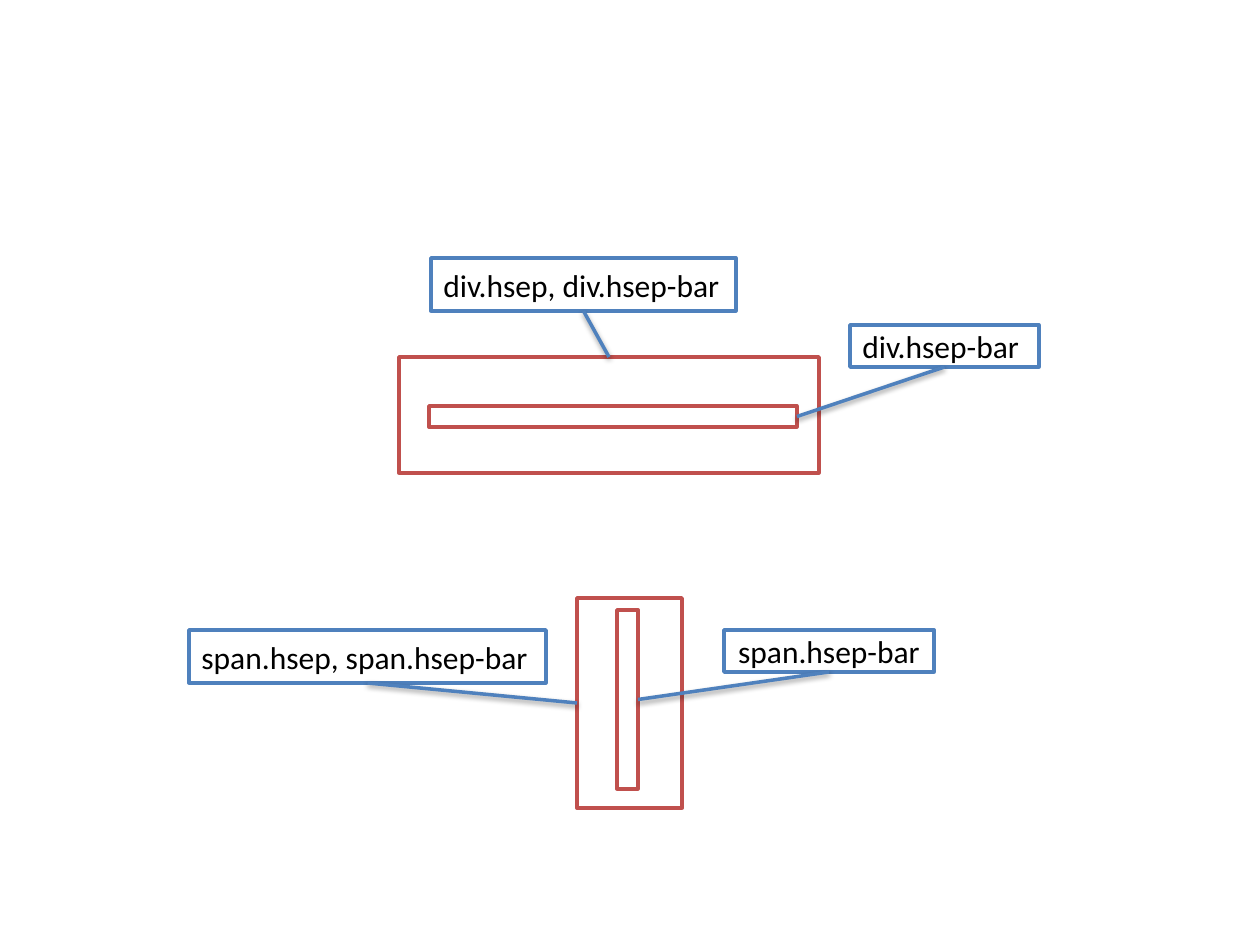
from lxml import etree
from pptx import Presentation
from pptx.dml.color import RGBColor
from pptx.enum.shapes import MSO_CONNECTOR, MSO_SHAPE
from pptx.enum.text import MSO_ANCHOR, PP_ALIGN
from pptx.oxml.ns import qn
from pptx.util import Emu, Pt

RED = RGBColor(0xC0, 0x50, 0x4D)
BLUE = RGBColor(0x4F, 0x81, 0xBD)
WHITE = RGBColor(0xFF, 0xFF, 0xFF)
BLACK = RGBColor(0, 0, 0)

RECTANGLE = MSO_SHAPE.RECTANGLE
STRAIGHT = MSO_CONNECTOR.STRAIGHT
MIDDLE = MSO_ANCHOR.MIDDLE
LEFT, CENTER = PP_ALIGN.LEFT, PP_ALIGN.CENTER

# Connection sites of a rectangle
TOP_SITE, LEFT_SITE, BOTTOM_SITE, RIGHT_SITE = range(4)

PX_PER_INCH = 126
EMU_PER_PX = 914400 / PX_PER_INCH


def px(length):
    return Emu(round(length * EMU_PER_PX))


def write(box, text, *, font="Calibri", size=18, color=BLACK, align=LEFT):
    frame = box.text_frame
    frame.word_wrap = True
    frame.vertical_anchor = MIDDLE
    para = frame.paragraphs[0]
    para.alignment = align
    span = para.add_run()
    span.text = text
    span.font.name = font
    span.font.size = Pt(size)
    span.font.color.rgb = color


def add_soft_shadow(connector):
    effects = etree.SubElement(connector._element.spPr, qn("a:effectLst"))
    shadow = etree.SubElement(
        effects, qn("a:outerShdw"), blurRad=str(Pt(3.1)), dist=str(Pt(1.6)),
        dir="5400000", rotWithShape="0")
    black = etree.SubElement(shadow, qn("a:srgbClr"), val=str(BLACK))
    etree.SubElement(black, qn("a:alpha"), val="38000")


class Diagram:
    line_width = Pt(2)

    def __init__(self, slide):
        self.slide = slide

    def rectangle(self, left, top, width, height, line_color):
        box = self.slide.shapes.add_shape(
            RECTANGLE, px(left), px(top), px(width), px(height))
        box.shadow.inherit = False
        box.line.color.rgb = line_color
        box.line.width = self.line_width
        return box

    def element(self, left, top, width, height):
        """Draw the unfilled outline of a page element."""
        box = self.rectangle(left, top, width, height, RED)
        box.fill.background()
        return box

    def label(self, text, left, top, width, height, align=LEFT):
        box = self.rectangle(left, top, width, height, BLUE)
        box.fill.solid()
        box.fill.fore_color.rgb = WHITE
        write(box, text, align=align)
        return box

    def leader(self, label, element, site):
        """Join the bottom of a label to one side of an element."""
        connector = self.slide.shapes.add_connector(STRAIGHT, 0, 0, 0, 0)
        connector.begin_connect(label, BOTTOM_SITE)
        connector.end_connect(element, site)
        connector.line.color.rgb = BLUE
        connector.line.width = self.line_width
        add_soft_shadow(connector)


def main():
    deck = Presentation()
    deck.slide_width = px(10 * PX_PER_INCH)
    deck.slide_height = px(7.5 * PX_PER_INCH)
    diagram = Diagram(deck.slides.add_slide(deck.slide_layouts[6]))

    div_frame = diagram.element(399, 357, 420, 116)
    div_bar = diagram.element(429, 406, 368, 21)
    div_label = diagram.label("div.hsep, div.hsep-bar", 431, 258, 305, 53)
    diagram.leader(div_label, div_frame, TOP_SITE)
    div_bar_label = diagram.label("div.hsep-bar", 850, 325, 189, 42)
    diagram.leader(div_bar_label, div_bar, RIGHT_SITE)

    span_bar = diagram.element(617, 610, 21, 179)
    span_frame = diagram.element(577, 598, 105, 210)
    span_bar_label = diagram.label(
        "span.hsep-bar", 724, 630, 210, 42, align=CENTER)
    diagram.leader(span_bar_label, span_bar, RIGHT_SITE)
    span_label = diagram.label("span.hsep, span.hsep-bar", 189, 630, 357, 53)
    diagram.leader(span_label, span_frame, LEFT_SITE)

    deck.save("out.pptx")


if __name__ == "__main__":
    main()
